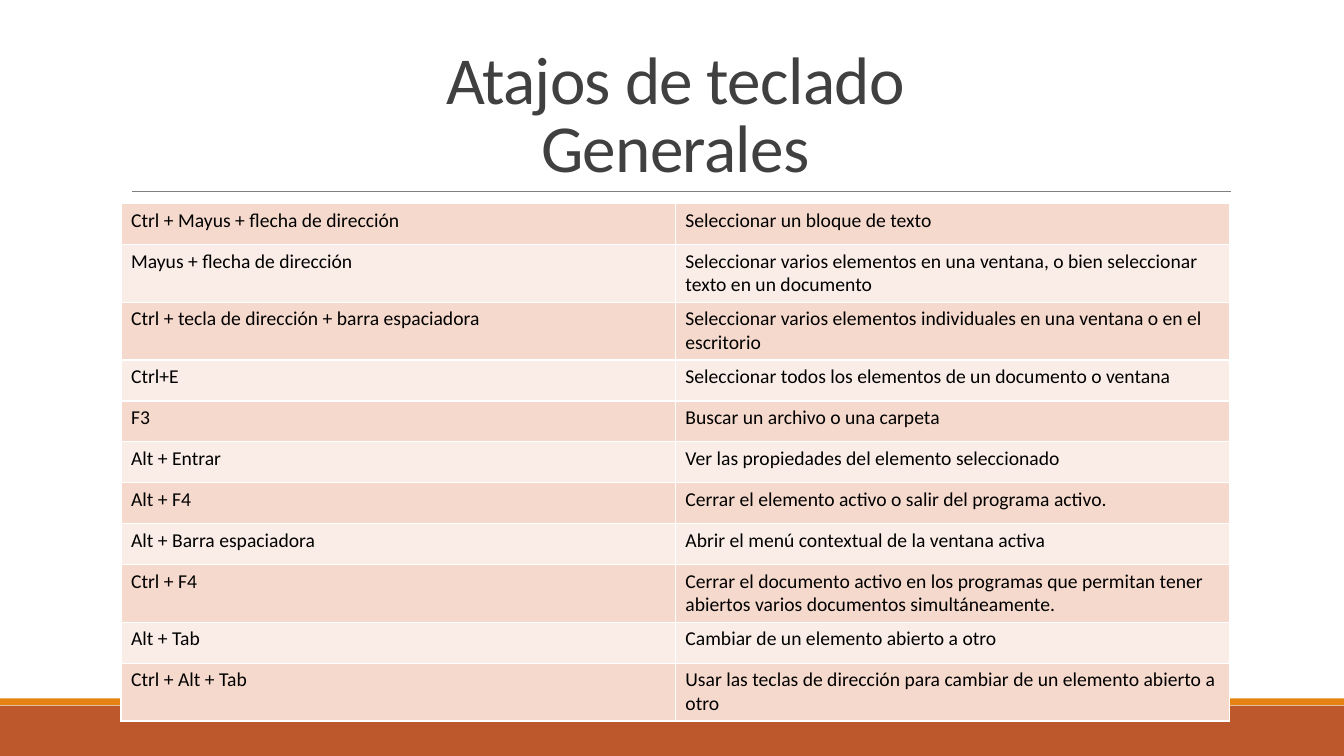
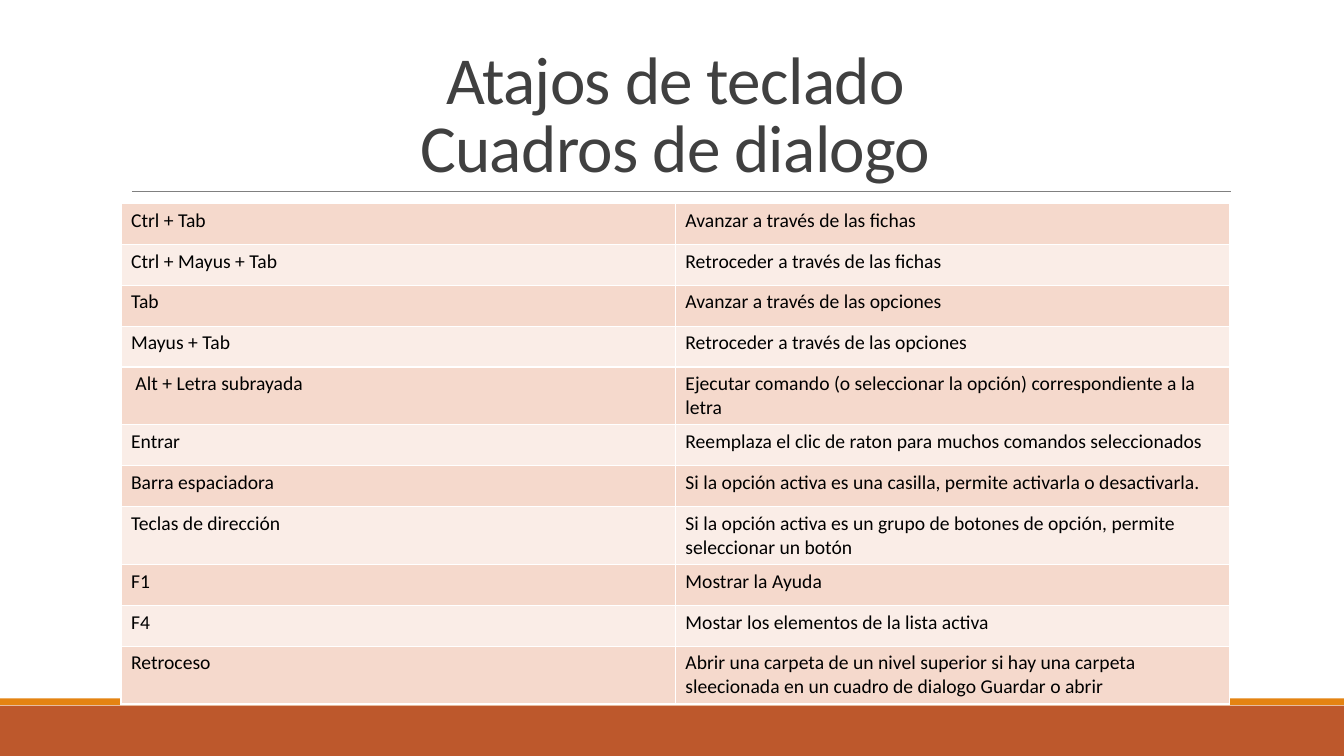
import pptx
import pptx.util
import pptx.dml.color
import pptx.enum.shapes
import pptx.enum.text
import pptx.oxml
import pptx.oxml.ns
from dataclasses import dataclass

Pt = pptx.util.Pt

# Content: a title and its (keys, action) rows for each slide
SHORTCUT_SLIDES = [
    ("Atajos de teclado\vGenerales", [
        ("Ctrl + Mayus + flecha de dirección", "Seleccionar un bloque de texto"),
        ("Mayus + flecha de dirección",
         "Seleccionar varios elementos en una ventana, o bien seleccionar texto en un documento"),
        ("Ctrl + tecla de dirección + barra espaciadora",
         "Seleccionar varios elementos individuales en una ventana o en el escritorio"),
        ("Ctrl+E", "Seleccionar todos los elementos de un documento o ventana"),
        ("F3", "Buscar un archivo o una carpeta"),
        ("Alt + Entrar", "Ver las propiedades del elemento seleccionado"),
        ("Alt + F4", "Cerrar el elemento activo o salir del programa activo."),
        ("Alt + Barra espaciadora", "Abrir el menú contextual de la ventana activa"),
        ("Ctrl + F4",
         "Cerrar el documento activo en los programas que permitan tener abiertos "
         "varios documentos simultáneamente."),
        ("Alt + Tab", "Cambiar de un elemento abierto a otro"),
        ("Ctrl + Alt + Tab",
         "Usar las teclas de dirección para cambiar de un elemento abierto a otro"),
    ]),
    ("Atajos de teclado\vCuadros de dialogo", [
        ("Ctrl + Tab", "Avanzar a través de las fichas"),
        ("Ctrl + Mayus + Tab", "Retroceder a través de las fichas"),
        ("Tab", "Avanzar a través de las opciones"),
        ("Mayus + Tab", "Retroceder a través de las opciones"),
        (" Alt + Letra subrayada",
         "Ejecutar comando (o seleccionar la opción) correspondiente a la letra"),
        ("Entrar", "Reemplaza el clic de raton para muchos comandos seleccionados"),
        ("Barra espaciadora",
         "Si la opción activa es una casilla, permite activarla o desactivarla."),
        ("Teclas de dirección",
         "Si la opción activa es un grupo de botones de opción, permite seleccionar un botón"),
        ("F1", "Mostrar la Ayuda"),
        ("F4", "Mostar los elementos de la lista activa"),
        ("Retroceso",
         "Abrir una carpeta de un nivel superior si hay una carpeta sleecionada "
         "en un cuadro de dialogo Guardar o abrir"),
    ]),
]


@dataclass(frozen=True)
class Theme:
    font: str = "Calibri"
    title_size: float = 48
    title_spacing: float = -0.5
    cell_size: float = 14
    title: str = "404040"
    text: str = "000000"
    rule: str = "808080"
    footer: str = "BD582C"
    footer_edge: str = "E48312"
    border: str = "FFFFFF"
    row_fills: tuple = ("F5D9CC", "FAEDE7")


THEME = Theme()

# Layout in points
WIDTH, HEIGHT = 960, 540
CONTENT_LEFT, CONTENT_WIDTH = 86.4, 792
TITLE_TOP, TITLE_HEIGHT = 22.3, 114.5
RULE_LEFT, RULE_RIGHT, RULE_Y = 94.3, 879.1, 136.8
TABLE_TOP, ROW_HEIGHT = 145.4, 29.2
FOOTER_TOP, EDGE_TOP, EDGE_HEIGHT = 504, 498.9, 4.8


def rgb(color):
    return pptx.dml.color.RGBColor.from_string(color)


def style_paragraph(paragraph, size, color):
    paragraph.font.name = THEME.font
    paragraph.font.size = Pt(size)
    paragraph.font.color.rgb = rgb(color)


def add_band(shapes, top, height, color):
    band = shapes.add_shape(pptx.enum.shapes.MSO_SHAPE.RECTANGLE,
                            0, Pt(top), Pt(WIDTH), Pt(height))
    band.shadow.inherit = False
    band.fill.solid()
    band.fill.fore_color.rgb = rgb(color)
    band.line.fill.background()
    return band


def add_rule(shapes):
    rule = shapes.add_connector(pptx.enum.shapes.MSO_CONNECTOR.STRAIGHT,
                                Pt(RULE_LEFT), Pt(RULE_Y), Pt(RULE_RIGHT), Pt(RULE_Y))
    rule.line.color.rgb = rgb(THEME.rule)
    rule.line.width = Pt(0.5)
    rule.element.spPr.append(pptx.oxml.parse_xml(
        f'<a:effectLst {pptx.oxml.ns.nsdecls("a")}/>'))
    return rule


def dress_layout(layout, shapes):
    """Draw the shared parts through a slide's shapes and move them to the layout."""
    shared = [
        add_band(shapes, FOOTER_TOP, HEIGHT - FOOTER_TOP, THEME.footer),
        add_band(shapes, EDGE_TOP, EDGE_HEIGHT, THEME.footer_edge),
        add_rule(shapes),
    ]
    for part in shared:
        layout.shapes.element.append(part.element)
    heading = layout.placeholders[0]
    heading.left, heading.top = Pt(CONTENT_LEFT), Pt(TITLE_TOP)
    heading.width, heading.height = Pt(CONTENT_WIDTH), Pt(TITLE_HEIGHT)
    heading.text_frame.vertical_anchor = pptx.enum.text.MSO_ANCHOR.BOTTOM


def set_title(slide, title):
    frame = slide.shapes.title.text_frame
    frame.text = title
    frame.auto_size = pptx.enum.text.MSO_AUTO_SIZE.NONE
    heading = frame.paragraphs[0]
    heading.alignment = pptx.enum.text.PP_ALIGN.CENTER
    heading.line_spacing = 0.85
    style_paragraph(heading, THEME.title_size, THEME.title)
    for run in heading.runs:
        run.font._element.set("spc", str(round(THEME.title_spacing * 100)))


def set_borders(cell):
    properties = cell._tc.get_or_add_tcPr()
    for side in ("lnL", "lnR", "lnT", "lnB"):
        properties.append(pptx.oxml.parse_xml(
            f'<a:{side} {pptx.oxml.ns.nsdecls("a")} w="{Pt(1)}"><a:solidFill>'
            f'<a:srgbClr val="{THEME.border}"/></a:solidFill></a:{side}>'))


def add_shortcuts(slide, shortcuts):
    columns = len(shortcuts[0])
    table = slide.shapes.add_table(
        len(shortcuts), columns, Pt(CONTENT_LEFT), Pt(TABLE_TOP),
        Pt(CONTENT_WIDTH), Pt(ROW_HEIGHT * len(shortcuts))).table
    table.first_row = False
    for column in table.columns:
        column.width = Pt(CONTENT_WIDTH / columns)
    for row_index, shortcut in enumerate(shortcuts):
        table.rows[row_index].height = Pt(ROW_HEIGHT)
        for column_index, text in enumerate(shortcut):
            cell = table.cell(row_index, column_index)
            cell.text = text
            style_paragraph(cell.text_frame.paragraphs[0], THEME.cell_size, THEME.text)
            set_borders(cell)
            cell.fill.solid()
            cell.fill.fore_color.rgb = rgb(THEME.row_fills[row_index % 2])


def main():
    deck = pptx.Presentation()
    deck.slide_width, deck.slide_height = Pt(WIDTH), Pt(HEIGHT)
    layout = deck.slide_layouts.get_by_name("Title Only")
    for index, (title, shortcuts) in enumerate(SHORTCUT_SLIDES):
        slide = deck.slides.add_slide(layout)
        if index == 0:
            dress_layout(layout, slide.shapes)
        set_title(slide, title)
        add_shortcuts(slide, shortcuts)
    deck.save("out.pptx")


if __name__ == "__main__":
    main()
